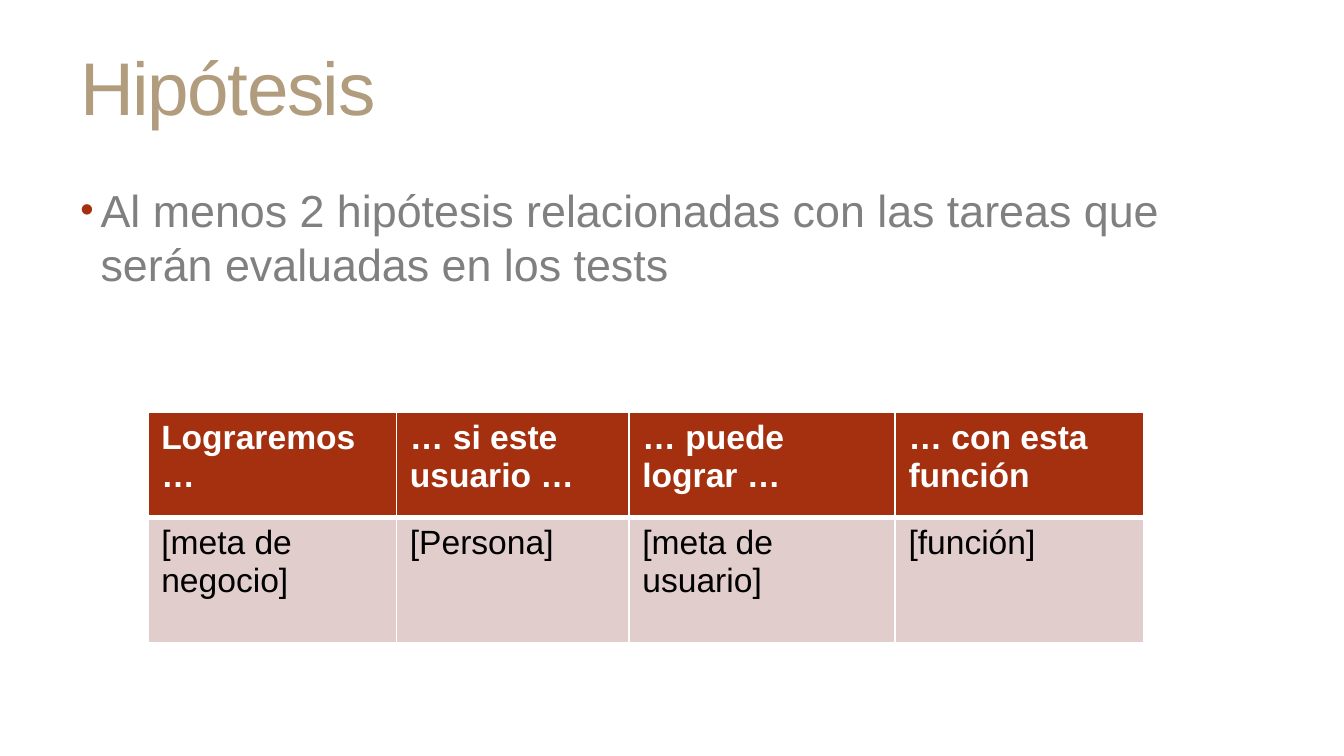
from lxml import etree
from pptx import Presentation
from pptx.dml.color import RGBColor
from pptx.enum.text import MSO_ANCHOR
from pptx.oxml.ns import qn
from pptx.util import Inches, Pt

MIDDLE = MSO_ANCHOR.MIDDLE
TOP = MSO_ANCHOR.TOP

SLIDE_WIDTH = 10
SLIDE_HEIGHT = SLIDE_WIDTH * 9 / 16
FONT = "Arial"
TAN, GRAY, RUST, ROSE = "B19C7D", "808080", "A5300F", "E1CDCC"
WHITE, BLACK = "FFFFFF", "000000"
THIN, THICK = 0.96, 3

COLUMN_WIDTHS = [1.85, 1.73, 1.98, 1.85]
ROW_HEIGHTS = [0.78, 0.93]
HEADERS = ["Lograremos …", "… si este usuario …", "… puede lograr …", "… con esta función"]
EXAMPLES = ["[meta de negocio]", "[Persona]", "[meta de usuario]", "[función]"]


def rgb(color):
    return RGBColor.from_string(color)


def add_run(para, text, size, color, bold=False):
    span = para.add_run()
    span.text = text
    font = span.font
    font.name, font.size, font.bold = FONT, Pt(size), bold
    font.color.rgb = rgb(color)
    return span


def add_text(slide, left, top, width, height, text, size, color, anchor=TOP):
    """Add a wrapped text box and return its paragraph and run."""
    box = slide.shapes.add_textbox(Inches(left), Inches(top), Inches(width), Inches(height))
    frame = box.text_frame
    frame.word_wrap = True
    frame.vertical_anchor = anchor
    para = frame.paragraphs[0]
    return para, add_run(para, text, size, color)


def add_bullet(para, color, percent, indent):
    para.space_before = Pt(4.8)
    properties = para._p.get_or_add_pPr()
    properties.set("marL", str(Inches(indent)))
    properties.set("indent", str(Inches(-indent)))
    bullet_color = etree.SubElement(properties, qn("a:buClr"))
    etree.SubElement(bullet_color, qn("a:srgbClr"), val=color)
    etree.SubElement(properties, qn("a:buSzPct"), val=str(percent * 1000))
    etree.SubElement(properties, qn("a:buFont"), typeface=FONT)
    etree.SubElement(properties, qn("a:buChar"), char="•")


def set_borders(cell, top, bottom):
    """Draw white borders; the lines must come before the fill in the cell XML."""
    properties = cell._tc.get_or_add_tcPr()
    widths = {"a:lnL": THIN, "a:lnR": THIN, "a:lnT": top, "a:lnB": bottom}
    for position, (tag, width) in enumerate(widths.items()):
        line = etree.Element(qn(tag), w=str(Pt(width)))
        fill = etree.SubElement(line, qn("a:solidFill"))
        etree.SubElement(fill, qn("a:srgbClr"), val=WHITE)
        properties.insert(position, line)


def fill_row(table, row, texts, fill, color, bold, top, bottom):
    for column, text in enumerate(texts):
        cell = table.cell(row, column)
        cell.fill.solid()
        cell.fill.fore_color.rgb = rgb(fill)
        set_borders(cell, top, bottom)
        add_run(cell.text_frame.paragraphs[0], text, 18, color, bold)


def add_hypothesis_table(slide):
    frame = slide.shapes.add_table(
        len(ROW_HEIGHTS), len(COLUMN_WIDTHS), Inches(1.1), Inches(3.07),
        Inches(sum(COLUMN_WIDTHS)), Inches(sum(ROW_HEIGHTS)))
    table = frame.table
    for column, width in zip(table.columns, COLUMN_WIDTHS):
        column.width = Inches(width)
    for row, height in zip(table.rows, ROW_HEIGHTS):
        row.height = Inches(height)
    fill_row(table, 0, HEADERS, RUST, WHITE, True, THIN, THICK)
    fill_row(table, 1, EXAMPLES, ROSE, BLACK, False, THICK, THIN)


def main():
    deck = Presentation()
    deck.slide_width, deck.slide_height = Inches(SLIDE_WIDTH), Inches(SLIDE_HEIGHT)
    slide = deck.slides.add_slide(deck.slide_layouts[6])

    _, title = add_text(slide, 0.5, 0.23, 9, 0.81, "Hipótesis", 40, TAN, MIDDLE)
    title.font._element.set("spc", "-80")

    para, _ = add_text(
        slide, 0.5, 1.31, 9, 4,
        "Al menos 2 hipótesis relacionadas con las tareas que serán evaluadas en los tests",
        24, GRAY)
    add_bullet(para, RUST, 85, 0.15)

    add_hypothesis_table(slide)
    deck.save("out.pptx")


if __name__ == "__main__":
    main()
